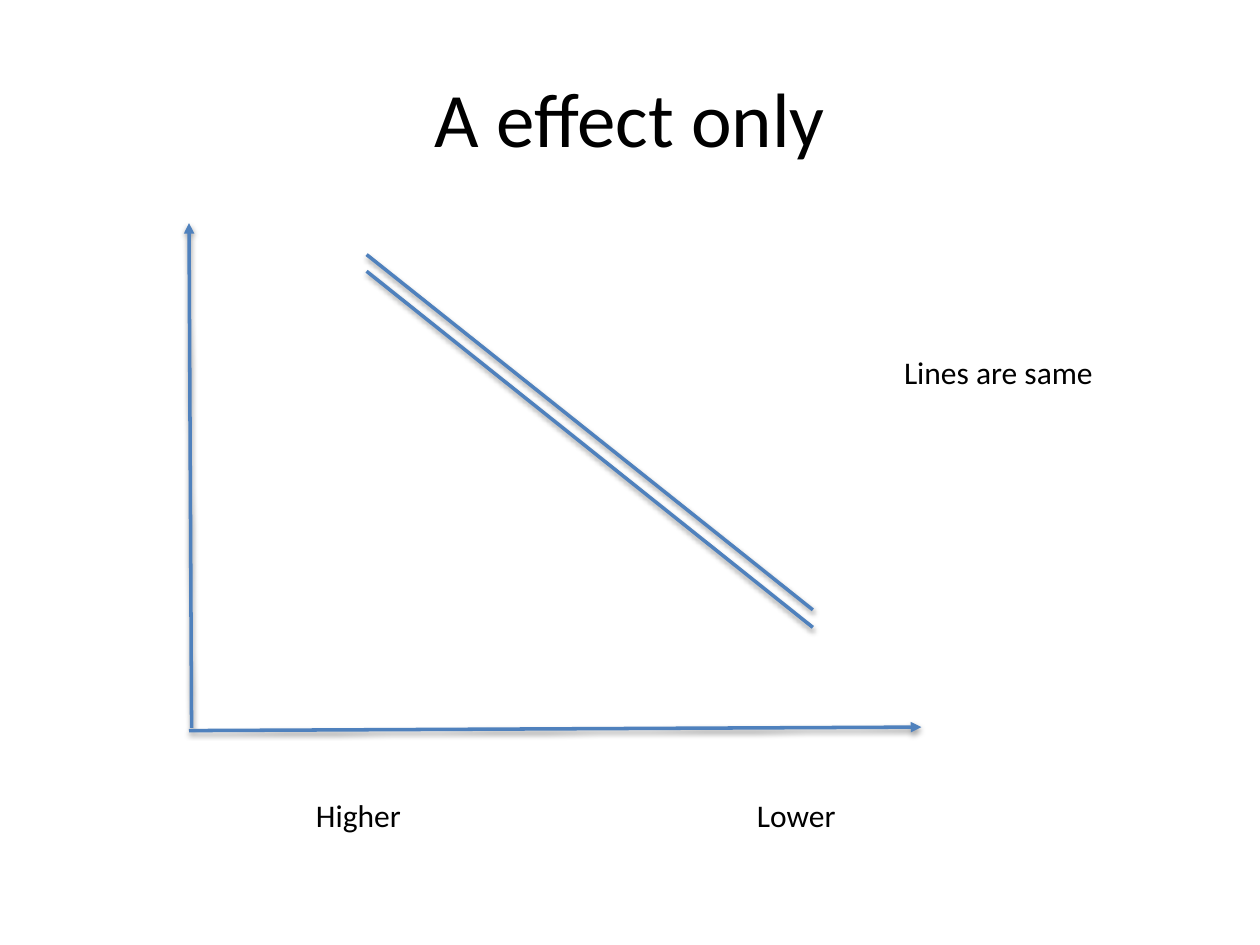
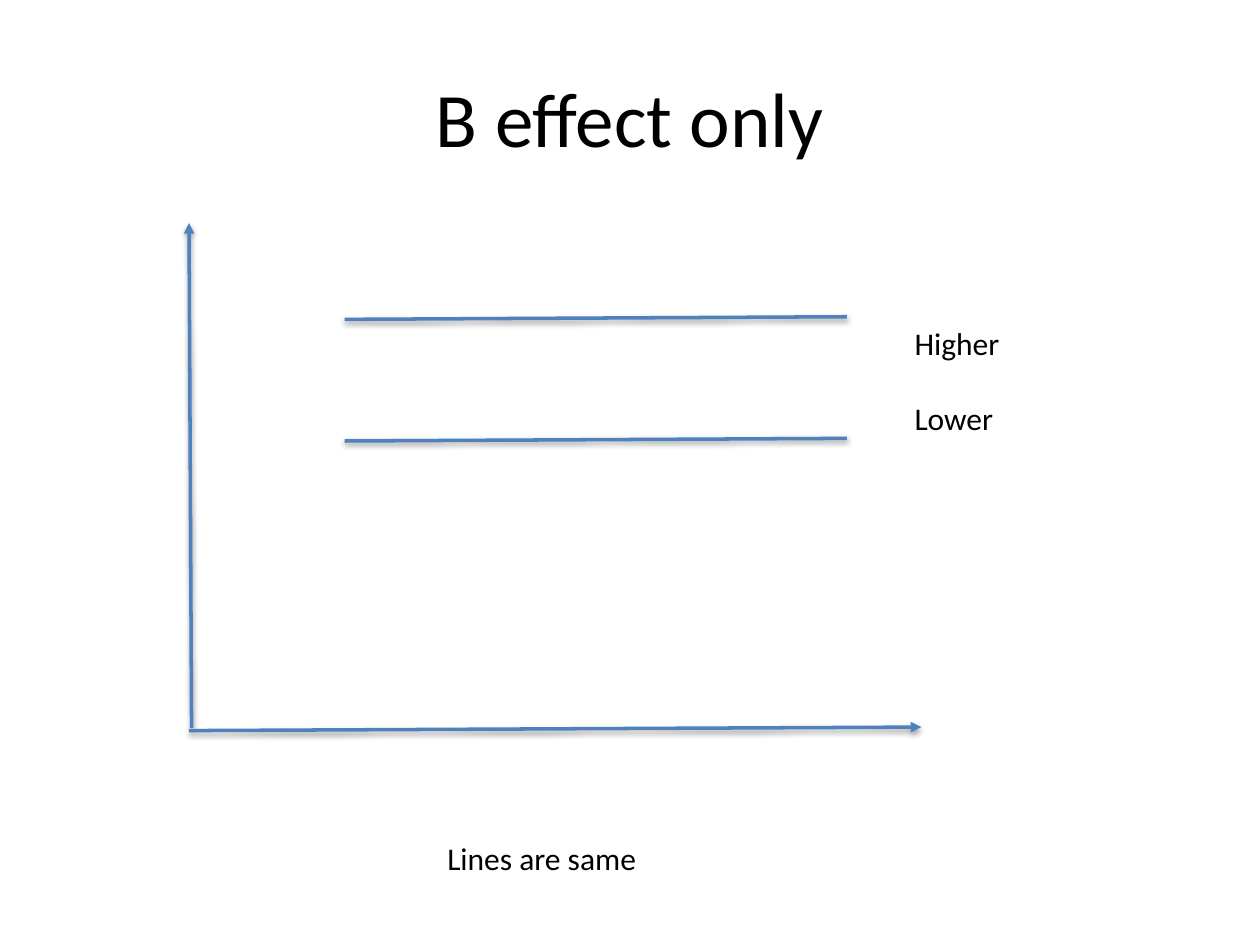
from lxml import etree
from pptx import Presentation
from pptx.dml.color import RGBColor
from pptx.enum.shapes import MSO_CONNECTOR
from pptx.enum.text import MSO_ANCHOR, PP_ALIGN
from pptx.oxml.ns import qn
from pptx.util import Pt

STRAIGHT = MSO_CONNECTOR.STRAIGHT
CENTER, MIDDLE = PP_ALIGN.CENTER, MSO_ANCHOR.MIDDLE
BLUE = RGBColor(0x4F, 0x81, 0xBD)
BLACK = RGBColor(0, 0, 0)
TITLE_FONT = {"name": "Calibri", "size": Pt(44)}
LABEL_FONT = {"name": "Calibri", "size": Pt(18)}
LABEL_H = 29
ROW_GAP = 21.5
TAB = 252

# Axes as x1, y1, x2, y2
AXES = [(109.5, 416, 108, 127.5), (108, 417.5, 526.5, 415.5)]
SLIDES = [
    {
        "title": "A effect only",
        "lines": [(209.5, 145.5, 464.5, 348.5), (209.5, 155, 464.5, 358.5)],
        "labels": [
            (173.5, 451.5, 316, ["Higher\tLower"]),
            (509.5, 198, 126, ["Lines are same"]),
        ],
    },
    {
        "title": "B effect only",
        "lines": [(197, 182.5, 484, 181), (197, 252, 484, 250.5)],
        "labels": [
            (248.5, 476, 126, ["Lines are same"]),
            (515.5, 181.5, 65, ["Higher", "Lower"]),
        ],
    },
]


def style(par, look):
    for key, value in look.items():
        setattr(par.font, key, value)
    par.font.color.rgb = BLACK


def draw(slide, ends, arrow=False):
    """Draw a blue line with a soft shadow below it."""
    line = slide.shapes.add_connector(STRAIGHT, *[Pt(v) for v in ends])
    line.line.color.rgb = BLUE
    line.line.width = Pt(2)
    props = line.line._get_or_add_ln()
    if arrow:
        etree.SubElement(props, qn("a:tailEnd"), type="triangle")
    effects = etree.SubElement(props.getparent(), qn("a:effectLst"))
    shadow = etree.SubElement(
        effects, qn("a:outerShdw"), blurRad=str(Pt(3.1)), dist=str(Pt(1.6)),
        dir="5400000", rotWithShape="0")
    shade = etree.SubElement(shadow, qn("a:srgbClr"), val=str(BLACK))
    etree.SubElement(shade, qn("a:alpha"), val="38000")


deck = Presentation()
deck.slide_width, deck.slide_height = Pt(720), Pt(540)
layout = deck.slide_layouts.get_by_name("Title Only")

for page in SLIDES:
    slide = deck.slides.add_slide(layout)
    title = slide.shapes.title
    title.left, title.top = Pt(36), Pt(21.6)
    title.width, title.height = Pt(648), Pt(90)
    title.text_frame.text = page["title"]
    title.text_frame.vertical_anchor = MIDDLE
    head = title.text_frame.paragraphs[0]
    head.alignment = CENTER
    style(head, TITLE_FONT)

    for ends in AXES:
        draw(slide, ends, arrow=True)
    for ends in page["lines"]:
        draw(slide, ends)

    for left, top, width, rows in page["labels"]:
        height = LABEL_H + (len(rows) - 1) * 2 * ROW_GAP
        box = slide.shapes.add_textbox(Pt(left), Pt(top), Pt(width), Pt(height))
        frame = box.text_frame
        frame.word_wrap = True
        frame.text = "\n".join(rows)
        for i, par in enumerate(frame.paragraphs):
            if i:
                par.space_before = Pt(ROW_GAP)
            if "\t" in rows[i]:
                tabs = etree.SubElement(par._p.get_or_add_pPr(), qn("a:tabLst"))
                etree.SubElement(tabs, qn("a:tab"), pos=str(Pt(TAB)), algn="l")
            style(par, LABEL_FONT)

deck.save("out.pptx")
